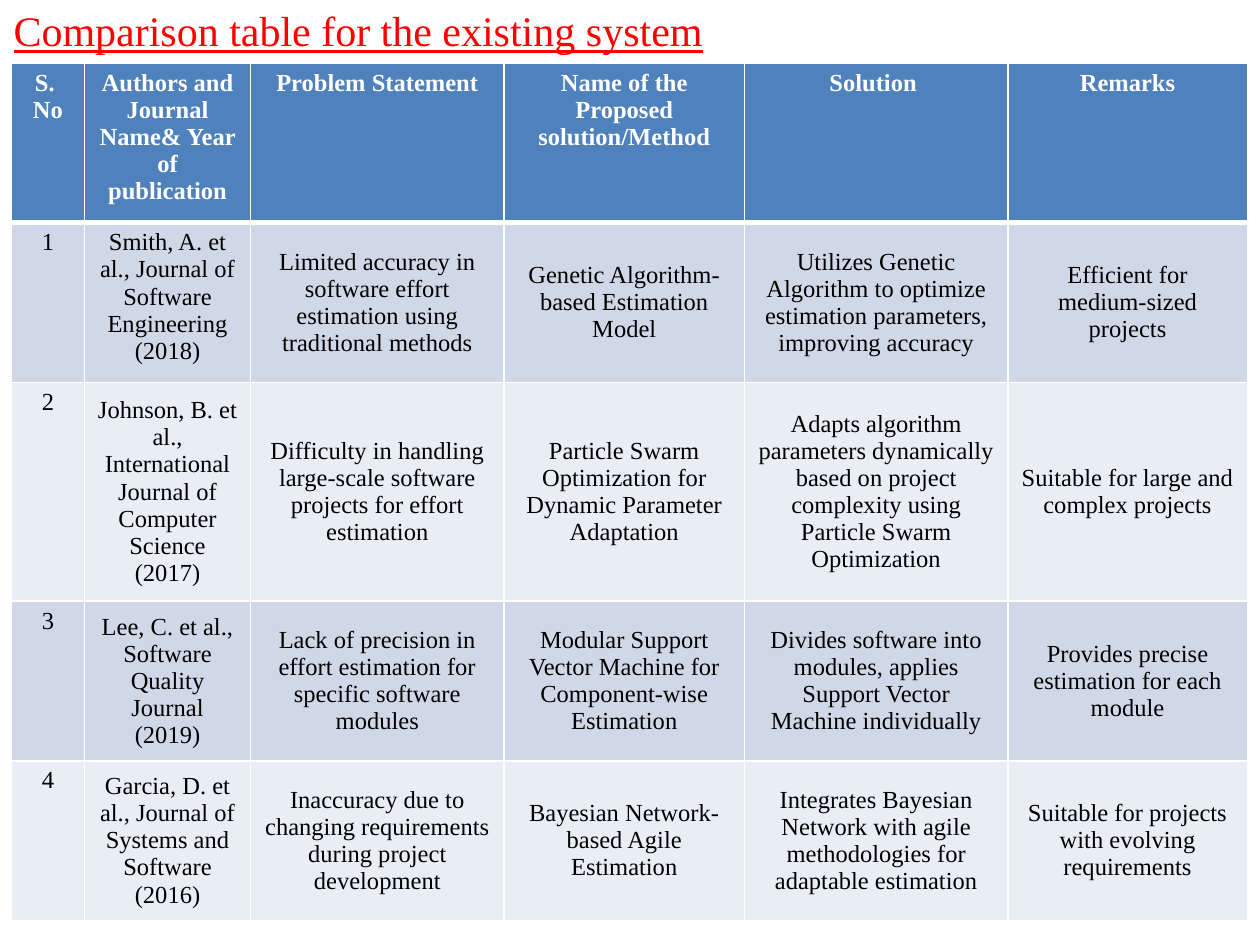
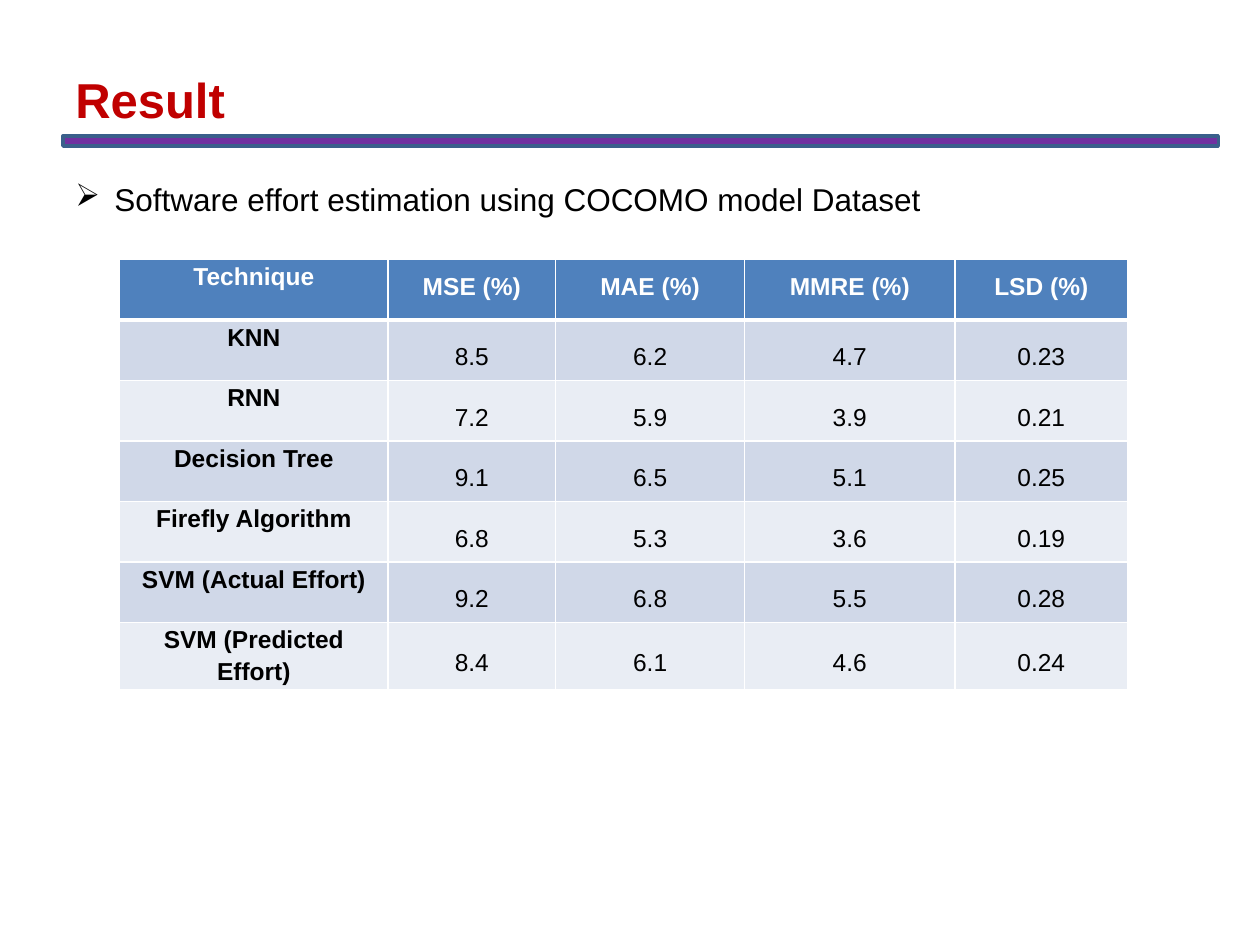
from dataclasses import dataclass

import lxml.etree
import pptx
import pptx.dml.color
import pptx.enum.shapes
import pptx.enum.text
import pptx.oxml.ns
import pptx.util

GRID_COLUMNS, GRID_ROWS = 100, 75
SLIDE_WIDTH, SLIDE_HEIGHT = pptx.util.Inches(10), pptx.util.Inches(7.5)
ANCHOR = pptx.enum.text.MSO_ANCHOR
ALIGN = pptx.enum.text.PP_ALIGN


@dataclass(frozen=True)
class Theme:
    serif: str = "Times New Roman"
    sans: str = "Arial"
    black: str = "000000"
    white: str = "FFFFFF"
    survey_title: str = "FF0000"
    result_title: str = "C00000"
    rule_fill: str = "7030A0"
    rule_line: str = "3A5F8B"
    header_fill: str = "4F81BD"
    row_fills: tuple = ("D0D8E8", "E9EDF4")
    survey_title_size: int = 24
    result_title_size: int = 28
    bullet_size: int = 18
    table_size: int = 14


THEME = Theme()

SURVEY = [
    ["S. \nNo", "Authors and Journal Name& Year of publication", "Problem Statement",
     "Name of the Proposed solution/Method", "Solution ", "Remarks"],
    ["1", "Smith, A. et al., Journal of Software Engineering (2018)",
     "Limited accuracy in software effort estimation using traditional methods",
     "Genetic Algorithm-based Estimation Model",
     "Utilizes Genetic Algorithm to optimize estimation parameters, improving accuracy",
     "Efficient for medium-sized projects"],
    ["2", "Johnson, B. et al., International Journal of Computer Science (2017)",
     "Difficulty in handling large-scale software projects for effort estimation",
     "Particle Swarm Optimization for Dynamic Parameter Adaptation",
     "Adapts algorithm parameters dynamically based on project complexity "
     "using Particle Swarm Optimization",
     "Suitable for large and complex projects"],
    ["3", "Lee, C. et al., Software Quality Journal (2019)",
     "Lack of precision in effort estimation for specific software modules",
     "Modular Support Vector Machine for Component-wise Estimation",
     "Divides software into modules, applies Support Vector Machine individually",
     "Provides precise estimation for each module"],
    ["4", "Garcia, D. et al., Journal of Systems and Software (2016)",
     "Inaccuracy due to changing requirements during project development",
     "Bayesian Network-based Agile Estimation",
     "Integrates Bayesian Network with agile methodologies for adaptable estimation",
     "Suitable for projects with evolving requirements"],
]

ERRORS = [
    ["Technique", "MSE (%)", "MAE (%)", "MMRE (%)", "LSD (%)"],
    ["KNN", "8.5", "6.2", "4.7", "0.23"],
    ["RNN", "7.2", "5.9", "3.9", "0.21"],
    ["Decision Tree", "9.1", "6.5", "5.1", "0.25"],
    ["Firefly Algorithm", "6.8", "5.3", "3.6", "0.19"],
    ["SVM (Actual Effort)", "9.2", "6.8", "5.5", "0.28"],
    ["SVM (Predicted Effort)", "8.4", "6.1", "4.6", "0.24"],
]


def across(columns):
    return round(SLIDE_WIDTH * columns / GRID_COLUMNS)


def down(rows):
    return round(SLIDE_HEIGHT * rows / GRID_ROWS)


def place(left, top, width, height):
    return across(left), down(top), across(width), down(height)


def color(code):
    return pptx.dml.color.RGBColor.from_string(code)


def add_run(paragraph, text, font, size, ink, bold=False, underline=False):
    run = paragraph.add_run()
    run.text = text
    run.font.name = font
    run.font.size = pptx.util.Pt(size)
    run.font.color.rgb = color(ink)
    run.font.bold = bold
    run.font.underline = underline


def add_line(slide, area, text, font, size, ink, **style):
    """Add a one-paragraph text box and return its paragraph."""
    frame = slide.shapes.add_textbox(*place(*area)).text_frame
    frame.word_wrap = True
    frame.auto_size = pptx.enum.text.MSO_AUTO_SIZE.SHAPE_TO_FIT_TEXT
    paragraph = frame.paragraphs[0]
    add_run(paragraph, text, font, size, ink, **style)
    return paragraph


def add_bullet(paragraph, mark, indent):
    properties = paragraph._p.get_or_add_pPr()
    properties.set("marL", str(indent))
    properties.set("indent", str(-indent))
    bullet = lxml.etree.SubElement(properties, pptx.oxml.ns.qn("a:buChar"))
    bullet.set("char", mark)


def add_title_rule(slide, area):
    rule = slide.shapes.add_shape(pptx.enum.shapes.MSO_SHAPE.RECTANGLE, *place(*area))
    rule.shadow.inherit = False
    rule.fill.solid()
    rule.fill.fore_color.rgb = color(THEME.rule_fill)
    rule.line.color.rgb = color(THEME.rule_line)
    rule.line.width = pptx.util.Pt(2)


def set_borders(cell, bottom):
    """Draw white cell borders, 1 pt except for the given bottom width."""
    widths = {"lnL": 1, "lnR": 1, "lnT": 1, "lnB": bottom}
    qn = pptx.oxml.ns.qn
    for position, (side, width) in enumerate(widths.items()):
        border = lxml.etree.Element(qn(f"a:{side}"), w=str(pptx.util.Pt(width)))
        fill = lxml.etree.SubElement(border, qn("a:solidFill"))
        lxml.etree.SubElement(fill, qn("a:srgbClr"), val=THEME.white)
        cell._tc.get_or_add_tcPr().insert(position, border)


def fill_cell(cell, text, font, fill, ink, bold, spacing):
    cell.fill.solid()
    cell.fill.fore_color.rgb = color(fill)
    for number, line in enumerate(text.split("\n")):
        frame = cell.text_frame
        paragraph = frame.add_paragraph() if number else frame.paragraphs[0]
        paragraph.alignment = ALIGN.CENTER
        paragraph.line_spacing = spacing
        add_run(paragraph, line, font, THEME.table_size, ink, bold)


def add_banded_table(slide, area, records, widths, heights, font, top_cells=(),
                     bold_labels=False, spacings=(None, None), margins=None):
    """Add a table; spacings are for the label column and for the other columns.

    The header, the label column and top_cells are set at the top of their cells.
    """
    frame = slide.shapes.add_table(len(records), len(widths), *place(*area))
    table = frame.table
    for column, width in zip(table.columns, widths):
        column.width = across(width)
    for row, height in zip(table.rows, heights):
        row.height = down(height)
    frame.height = down(area[3])

    for r, record in enumerate(records):
        is_header = r == 0
        fill = THEME.header_fill if is_header else THEME.row_fills[(r - 1) % 2]
        ink = THEME.white if is_header else THEME.black
        for c, text in enumerate(record):
            is_label = c == 0
            cell = table.cell(r, c)
            fill_cell(cell, text, font, fill, ink, is_header or (is_label and bold_labels),
                      spacings[0 if is_label else 1])
            set_borders(cell, bottom=3 if is_header else 1)
            at_top = is_header or is_label or (r, c) in top_cells
            cell.vertical_anchor = ANCHOR.TOP if at_top else ANCHOR.MIDDLE
            if margins:
                cell.margin_left = cell.margin_right = across(margins[0])
                cell.margin_top = cell.margin_bottom = down(margins[1])


def build_survey(slide):
    add_line(slide, (0.1, -0.1, 98.3, 5), "Comparison table for the existing system",
             THEME.serif, THEME.survey_title_size, THEME.survey_title, underline=True)
    add_banded_table(slide, (0.9, 5, 98.2, 68), SURVEY,
                     widths=[5.8, 13.2, 20.1, 19.1, 20.9, 19],
                     heights=[9.2] + [12.4] * 4,
                     font=THEME.serif, top_cells={(1, 1)})


def build_result(slide):
    add_title_rule(slide, (5, 10.8, 91.7, 0.8))
    add_line(slide, (5, 5, 33.3, 5.7), "Result",
             THEME.sans, THEME.result_title_size, THEME.result_title, bold=True)
    topic = add_line(slide, (5, 13.8, 84.2, 4),
                     "Software effort estimation using COCOMO model Dataset",
                     THEME.sans, THEME.bullet_size, THEME.black)
    add_bullet(topic, "➢", across(3.1))
    add_banded_table(slide, (9.5, 20.6, 80, 33.7), ERRORS,
                     widths=[21.3, 13.3, 15, 16.7, 13.7],
                     heights=[4.8] * len(ERRORS),
                     font=THEME.sans, bold_labels=True,
                     spacings=(1.15, 1.5), margins=(0.7, 0))


def main():
    deck = pptx.Presentation()
    deck.slide_width, deck.slide_height = SLIDE_WIDTH, SLIDE_HEIGHT
    blank = deck.slide_layouts[6]
    for build in (build_survey, build_result):
        build(deck.slides.add_slide(blank))
    deck.save("out.pptx")


if __name__ == "__main__":
    main()
